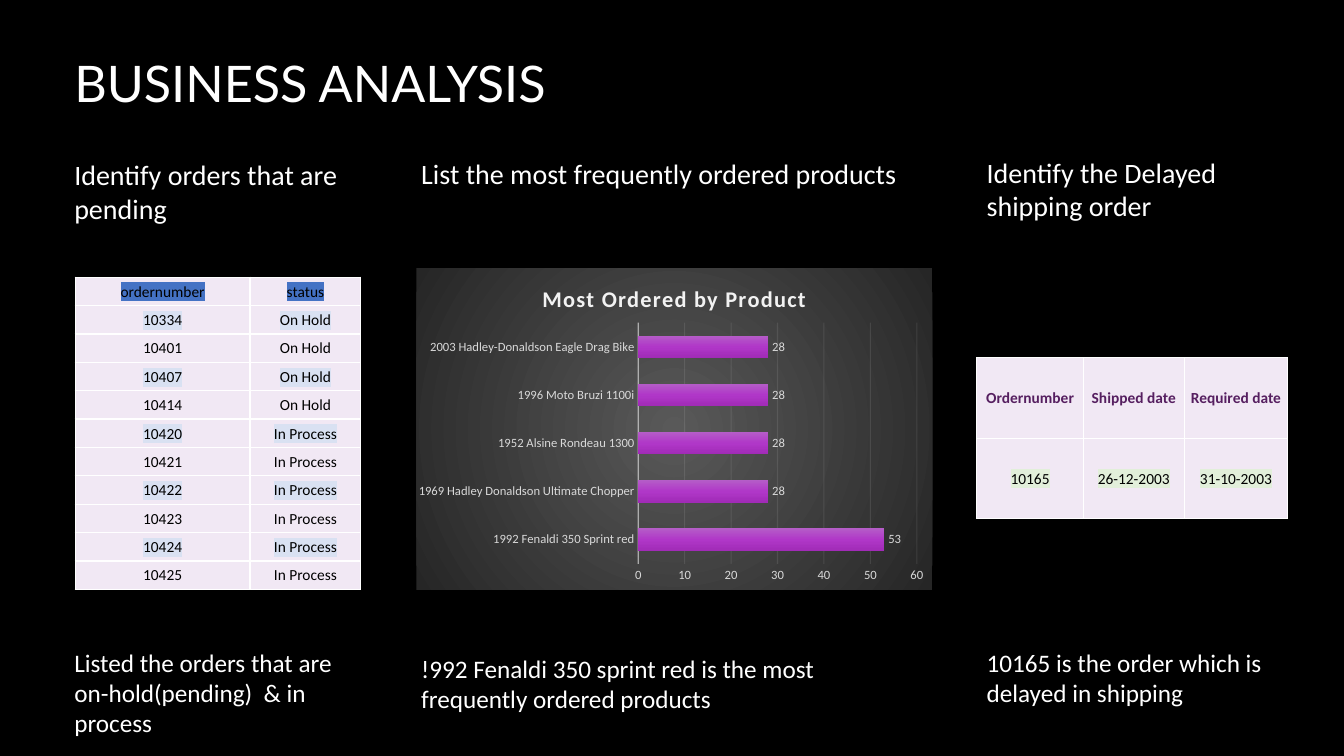
from lxml.etree import SubElement
from pptx import Presentation
from pptx.chart.data import CategoryChartData as ChartData
from pptx.dml.color import RGBColor as RGB
from pptx.enum.chart import XL_CHART_TYPE as ChartType, XL_LABEL_POSITION as LabelPos
from pptx.enum.chart import XL_TICK_MARK as Tick
from pptx.enum.text import MSO_ANCHOR as Anchor, PP_ALIGN as Align
from pptx.oxml import parse_xml
from pptx.oxml.ns import nsdecls, qn
from pptx.util import Pt

COLORS = {
    "ground": "000000", "text": "FFFFFF", "ink": "000000", "cell": "F1E8F4",
    "border": "FFFFFF", "plum": "561F60", "blue": "4472C4", "pale_blue": "D9E1F2",
    "pale_green": "E2EFDA", "label": "D9D9D9", "line": "F2F2F2",
}
PANEL_STOPS = [(0, "595959"), (100, "262626")]
BAR_STOPS = [(0, "B55DC8"), (50, "B037C8"), (100, "A12BB7")]
RADIAL = '<a:path path="circle"><a:fillToRect l="50000" t="50000" r="50000" b="50000"/></a:path>'
VERTICAL = '<a:lin ang="5400000" scaled="0"/>'


def apply(target, values):
    for name, value in values.items():
        setattr(target, name, value)


def gradient(stops, direction):
    marks = "".join(
        f'<a:gs pos="{pos * 1000}"><a:srgbClr val="{color}"/></a:gs>' for pos, color in stops)
    return f"<a:gradFill><a:gsLst>{marks}</a:gsLst>{direction}</a:gradFill>"


class SlideBuilder:
    """Draws styled text, tables and charts on one slide."""

    def __init__(self, slide):
        self.slide = slide
        fill = slide.background.fill
        fill.solid()
        fill.fore_color.rgb = self.color("ground")

    def color(self, name):
        return RGB.from_string(COLORS[name])

    def style(self, font, size, color="text", name="Calibri", bold=False):
        apply(font, {"size": Pt(size), "name": name, "bold": bold})
        font.color.rgb = self.color(color)

    def text(self, words, box, size, anchor=Anchor.TOP, name="Calibri"):
        frame = self.slide.shapes.add_textbox(*map(Pt, box)).text_frame
        apply(frame, {"word_wrap": True, "vertical_anchor": anchor})
        run = frame.paragraphs[0].add_run()
        run.text = words
        self.style(run.font, size, name=name)

    def cell(self, cell, words, color, bold, highlight):
        apply(cell, {"vertical_anchor": Anchor.MIDDLE, "margin_left": Pt(0.7),
                     "margin_right": Pt(0.7), "margin_top": Pt(0.7), "margin_bottom": 0})
        cell.fill.solid()
        cell.fill.fore_color.rgb = self.color("cell")
        for index, side in enumerate("LRTB"):
            cell._tc.tcPr.insert(index, parse_xml(
                f'<a:ln{side} {nsdecls("a")} w="{Pt(1)}"><a:solidFill>'
                f'<a:srgbClr val="{COLORS["border"]}"/></a:solidFill></a:ln{side}>'))
        paragraph = cell.text_frame.paragraphs[0]
        paragraph.alignment = Align.CENTER
        run = paragraph.add_run()
        run.text = words
        self.style(run.font, 11, color, bold=bold)
        if highlight:
            run._r.rPr.find(qn("a:solidFill")).addnext(parse_xml(
                f'<a:highlight {nsdecls("a")}><a:srgbClr val="{COLORS[highlight]}"/></a:highlight>'))

    def table(self, rows, left, top, widths, row_height, look):
        table = self.slide.shapes.add_table(
            len(rows), len(widths), Pt(left), Pt(top),
            Pt(sum(widths)), Pt(row_height * len(rows))).table
        apply(table, {"first_row": False, "horz_banding": False})
        for column, width in zip(table.columns, widths):
            column.width = Pt(width)
        for r, row in enumerate(rows):
            table.rows[r].height = Pt(row_height)
            for c, words in enumerate(row):
                self.cell(table.cell(r, c), words, *look(r))

    def axis_line(self, axis, line, width, opacity):
        line.width = Pt(width)
        line.color.rgb = self.color("line")
        tint = next(axis._element.iter(qn("a:srgbClr")))
        SubElement(tint, qn("a:alpha")).set("val", str(opacity * 1000))

    def bar_chart(self, title, counts, box, plot_area):
        data = ChartData()
        data.categories = list(counts)
        data.add_series("Series 1", list(counts.values()))
        chart = self.slide.shapes.add_chart(
            ChartType.BAR_CLUSTERED, *map(Pt, box), data).chart
        self.style(chart.font, 10)
        chart.has_legend = False
        heading = chart.chart_title.text_frame.paragraphs[0].add_run()
        heading.text = title
        self.style(heading.font, 16, "line", bold=True)
        heading._r.rPr.set("spc", "100")

        products, amounts = chart.category_axis, chart.value_axis
        apply(amounts, {"minimum_scale": 0, "maximum_scale": 60, "major_unit": 10})
        amounts.format.line.fill.background()
        self.axis_line(products, products.format.line, 1, 54)
        self.axis_line(amounts, amounts.major_gridlines.format.line, 0.75, 10)
        for axis in (products, amounts):
            apply(axis, {"major_tick_mark": Tick.NONE, "minor_tick_mark": Tick.NONE})
            self.style(axis.tick_labels.font, 9, "label")

        plot = chart.plots[0]
        apply(plot, {"gap_width": 115, "overlap": -20,
                     "vary_by_categories": False, "has_data_labels": True})
        apply(plot.data_labels, {"show_value": True, "position": LabelPos.OUTSIDE_END})
        self.style(plot.data_labels.font, 9, "label")

        bars = plot.series[0]
        bars.format.fill.solid()
        solid = bars._element.spPr.find(qn("a:solidFill"))
        solid.getparent().replace(solid, parse_xml(
            gradient(BAR_STOPS, VERTICAL).replace("<a:gradFill", f'<a:gradFill {nsdecls("a")}', 1)))
        space = chart._chartSpace
        space.find(qn("c:txPr")).addprevious(parse_xml(
            f'<c:spPr {nsdecls("c", "a")}>{gradient(PANEL_STOPS, RADIAL)}'
            '<a:ln><a:noFill/></a:ln></c:spPr>'))
        area = next(space.iter(qn("c:plotArea")))
        for layout in area.findall(qn("c:layout")):
            area.remove(layout)
        edges = "".join(f'<c:{key} val="{value}"/>' for key, value in plot_area.items())
        area.insert(0, parse_xml(
            f'<c:layout {nsdecls("c")}><c:manualLayout><c:layoutTarget val="inner"/>'
            f'<c:xMode val="edge"/><c:yMode val="edge"/>{edges}</c:manualLayout></c:layout>'))


def pending_look(row):
    if row == 0:
        return "ink", False, "blue"
    return "ink", False, "pale_blue" if row % 2 else None


def delayed_look(row):
    return ("ink", False, "pale_green") if row else ("plum", True, None)


def main():
    deck = Presentation()
    apply(deck, {"slide_width": Pt(960), "slide_height": Pt(540)})
    page = SlideBuilder(deck.slides.add_slide(deck.slide_layouts[6]))
    left, middle, right = 46, 293.8, 697.7

    page.text("BUSINESS ANALYSIS", (left, 1.5, 798, 114.5), 36, Anchor.MIDDLE, "Lato")
    page.text("Identify orders that are pending", (left, 118.8, 219, 45.4), 20, Anchor.BOTTOM)
    page.text("List the most frequently ordered products",
              (middle, 93.6, 371.5, 45.4), 20, Anchor.BOTTOM)
    page.text("Identify the Delayed shipping order", (right, 107.3, 233, 55.7), 20)

    statuses = {"On Hold": [10334, 10401, 10407, 10414], "In Process": range(10420, 10426)}
    pending = [("ordernumber", "status")]
    pending += [(str(order), status) for status, orders in statuses.items() for order in orders]
    page.table(pending, 53.8, 198, (124.8, 79.2), 20.28, pending_look)

    ordered = {
        "1992 Fenaldi 350 Sprint red": 53,
        "1969 Hadley Donaldson Ultimate Chopper": 28,
        "1952 Alsine Rondeau 1300": 28,
        "1996 Moto Bruzi 1100i": 28,
        "2003 Hadley-Donaldson Eagle Drag Bike": 28,
    }
    page.bar_chart("Most Ordered by Product", ordered, (297.4, 191.5, 368.6, 229.7),
                   {"x": 0.43, "y": 0.17, "w": 0.54, "h": 0.75})

    delayed = [("Ordernumber", "Shipped date", "Required date"),
               ("10165", "26-12-2003", "31-10-2003")]
    page.table(delayed, right, 255.6, (76.2, 72, 74), 57.4, delayed_look)

    page.text("Listed the orders that are on-hold(pending)  & in process",
              (left, 458.6, 212, 72.7), 18)
    page.text("!992 Fenaldi 350 sprint red is the most frequently ordered products",
              (middle, 463, 371.5, 51), 18)
    page.text("10165 is the order which is delayed in shipping", (right, 458.6, 222, 51), 18)
    deck.save("out.pptx")


if __name__ == "__main__":
    main()
